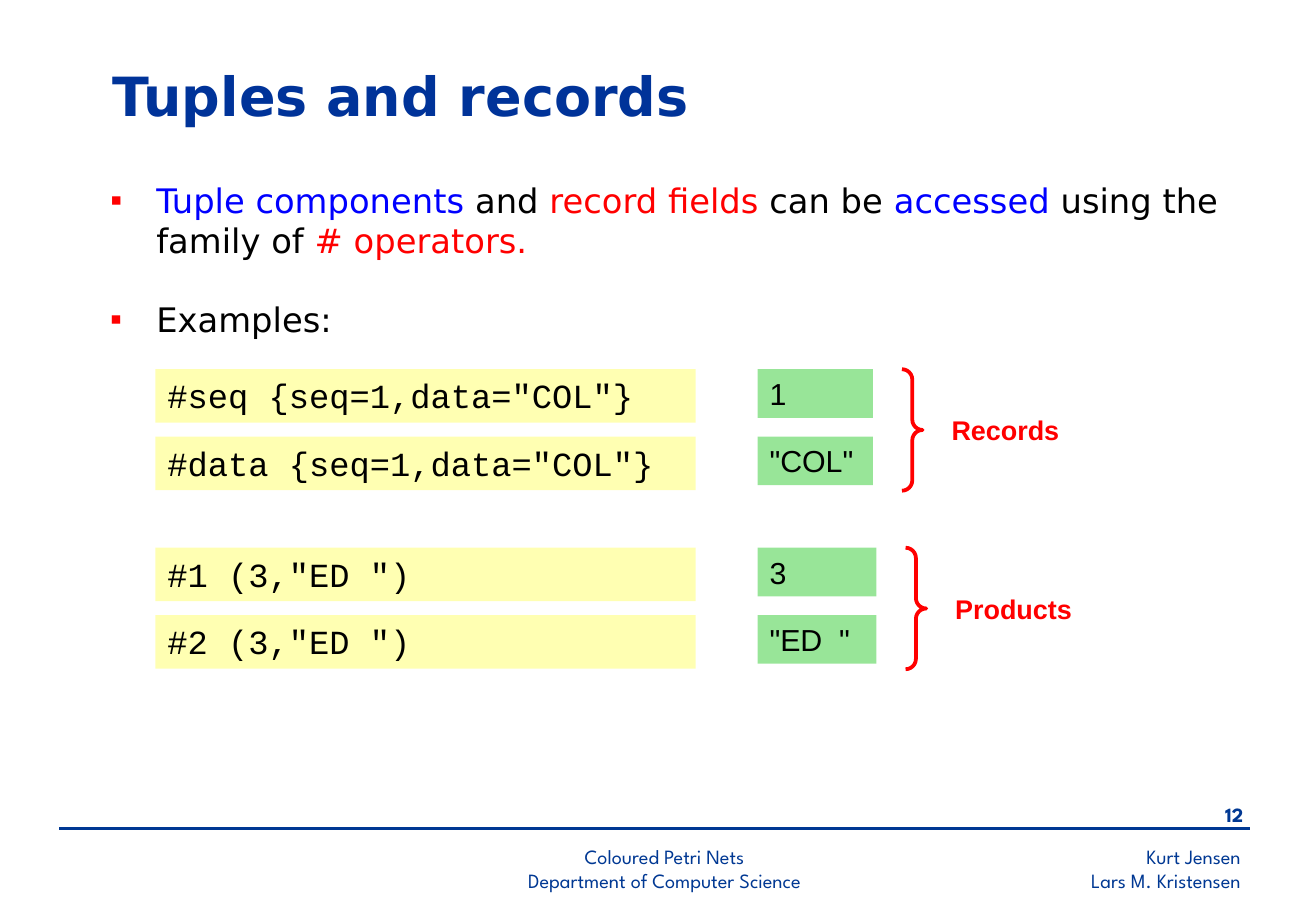
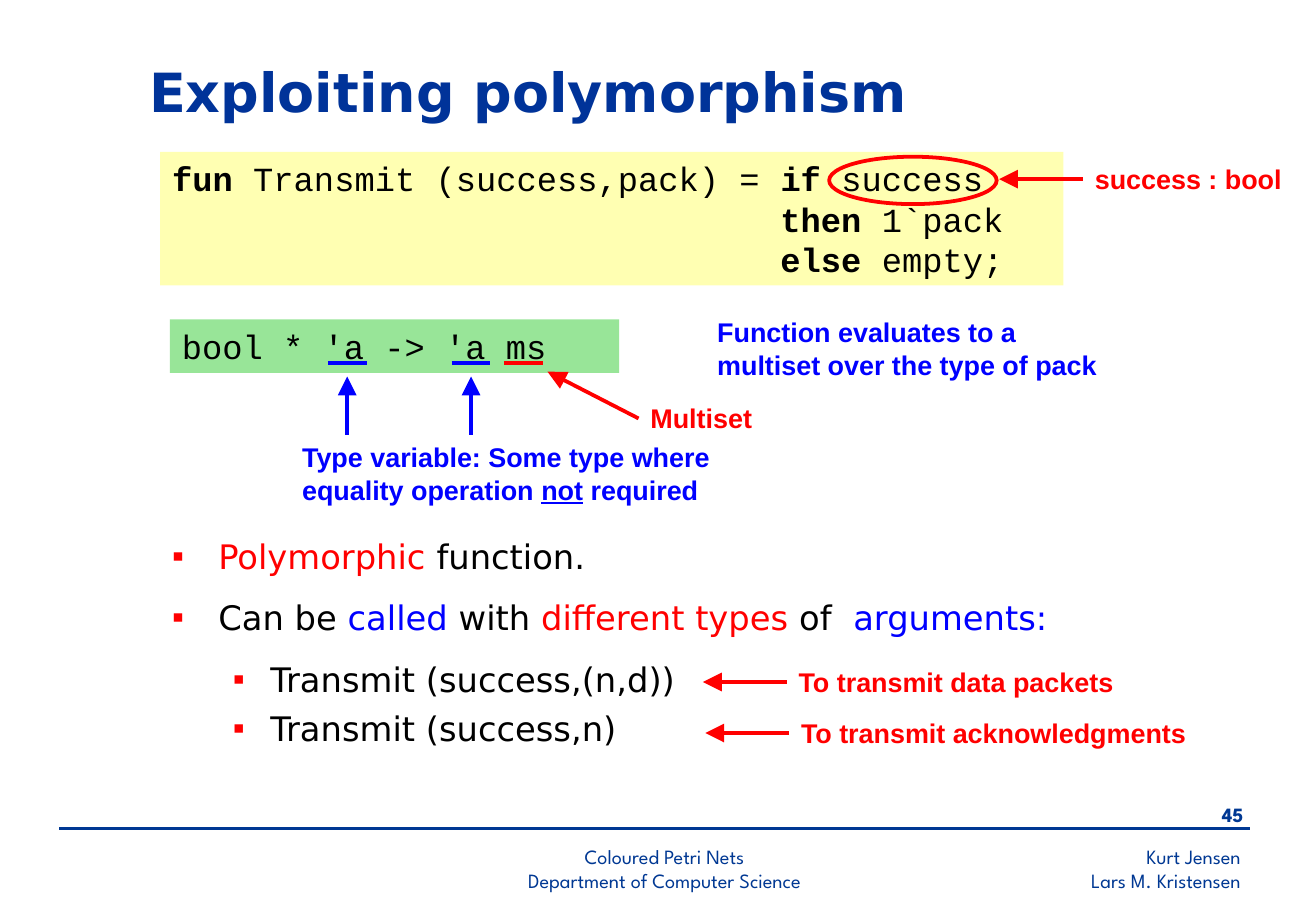
from lxml.etree import SubElement
from pptx import Presentation
from pptx.dml.color import RGBColor
from pptx.enum.shapes import MSO_CONNECTOR, MSO_SHAPE
from pptx.enum.text import MSO_ANCHOR, PP_ALIGN
from pptx.oxml.ns import qn
from pptx.util import Inches, Pt

COLUMNS, ROWS = 108.4, 75
STEP = Inches(0.1)
COLORS = {
    "paper": "FFFFFF", "footer": "003893", "title": "003399", "ink": "000000",
    "red": "FF0000", "blue": "0000FF", "yellow": "FFFF66", "green": "33CC33",
}
STYLES = {
    "title": {"font": "DejaVu Sans", "size": 32, "color": "title", "bold": True},
    "body": {"font": "DejaVu Sans", "size": 20, "color": "ink"},
    "code": {"font": "Courier New", "size": 20, "color": "ink"},
    "result": {"font": "Arial", "size": 18, "color": "ink"},
    "note": {"font": "Arial", "size": 16, "color": "red", "bold": True},
    "footer": {"font": "League Spartan", "size": 12, "color": "footer"},
}
BULLET_LEVELS = [(0.38, -0.38), (0.81, -0.31)]


def rgb(name):
    """Return the palette colour of that name."""
    return RGBColor.from_string(COLORS[name])


def grid(*steps):
    """Turn grid steps into lengths."""
    return [round(step * STEP) for step in steps]


def inside(box, left, top, width, height):
    """Return a box placed relative to the corner of another."""
    return box[0] + left, box[1] + top, width, height


def red(text):
    """Mark a piece of text red."""
    return text, {"color": "red"}


def blue(text):
    """Mark a piece of text blue."""
    return text, {"color": "blue"}


def keyword(text):
    """Mark a piece of text as a bold keyword."""
    return text, {"bold": True}


def add_piece(paragraph, text, font, size, color, bold=False, underline=False):
    """Add one formatted piece of text, breaking it at line ends."""
    for number, line in enumerate(text.split("\n")):
        if number:
            paragraph.add_line_break()
        run = paragraph.add_run()
        run.text = line
        run.font.name = font
        run.font.size = Pt(size)
        run.font.bold = bold
        run.font.underline = underline
        run.font.color.rgb = rgb(color)


def write(frame, paragraphs, style, align=PP_ALIGN.LEFT, anchor=MSO_ANCHOR.TOP):
    """Fill a frame with paragraphs, each a list of plain or marked pieces."""
    frame.word_wrap = True
    frame.vertical_anchor = anchor
    for number, pieces in enumerate(paragraphs):
        paragraph = frame.add_paragraph() if number else frame.paragraphs[0]
        paragraph.alignment = align
        for piece in pieces:
            text, changes = (piece, {}) if isinstance(piece, str) else piece
            add_piece(paragraph, text, **{**STYLES[style], **changes})


def add_text(slide, box, paragraphs, style, **placing):
    """Add a text box in one of the shared styles."""
    text = slide.shapes.add_textbox(*grid(*box))
    write(text.text_frame, paragraphs, style, **placing)
    return text


def add_panel(slide, box, paragraphs, style, color):
    """Add a half-transparent panel of text."""
    panel = slide.shapes.add_shape(MSO_SHAPE.RECTANGLE, *grid(*box))
    panel.shadow.inherit = False
    panel.line.fill.background()
    panel.fill.solid()
    panel.fill.fore_color.rgb = rgb(color)
    tint = panel.fill._xPr.find(qn("a:solidFill"))[0]
    SubElement(tint, qn("a:alpha"), val="50000")
    write(panel.text_frame, paragraphs, style)


def add_outline(slide, preset, box):
    """Add an unfilled red shape."""
    outline = slide.shapes.add_shape(preset, *grid(*box))
    outline.shadow.inherit = False
    outline.fill.background()
    outline.line.color.rgb = rgb("red")
    outline.line.width = Pt(2.25)
    return outline


def add_line(slide, start, end, color, width=2.25, arrow=False):
    """Add a straight line, with an arrowhead at its end if asked."""
    line = slide.shapes.add_connector(MSO_CONNECTOR.STRAIGHT, *grid(*start, *end))
    line.line.color.rgb = rgb(color)
    line.line.width = Pt(width)
    if arrow:
        SubElement(line.line._get_or_add_ln(), qn("a:tailEnd"),
                   type="triangle", w="lg", len="lg")
    SubElement(line._element.spPr, qn("a:effectLst"))
    return line


def add_bullets(slide, box, items):
    """Add a bulleted list of (level, space before, pieces)."""
    bullets = add_text(slide, box, [pieces for _, _, pieces in items], "body")
    for paragraph, (level, space, _) in zip(bullets.text_frame.paragraphs, items):
        margin, indent = BULLET_LEVELS[level]
        paragraph.level = level
        properties = paragraph._p.get_or_add_pPr()
        properties.set("marL", str(Inches(margin)))
        properties.set("indent", str(Inches(indent)))
        tint = SubElement(properties, qn("a:buClr"))
        SubElement(tint, qn("a:srgbClr"), val=COLORS["red"])
        SubElement(properties, qn("a:buFont"), typeface="Arial")
        SubElement(properties, qn("a:buChar"), char="▪")
        paragraph.space_before = Pt(space)


def add_footer(slide, box, page):
    """Add the rule, page number, course and authors."""
    left, top, width, _ = box
    add_text(slide, inside(box, width - 6.7, -2.6, 7.1, 3.3),
             [[keyword(page)]], "footer", align=PP_ALIGN.RIGHT)
    add_line(slide, (left, top), (left + width, top), "footer", 1.5)
    add_text(slide, inside(box, 29.2, 0.8, 41.3, 4.7),
             [["Coloured Petri Nets"], ["Department of Computer Science"]],
             "footer", align=PP_ALIGN.CENTER)
    add_text(slide, inside(box, width - 33.5, 0.8, 33.7, 5),
             [["Kurt Jensen"], ["Lars M. Kristensen"]],
             "footer", align=PP_ALIGN.RIGHT)


def add_page(deck, title, title_box, page):
    """Start a slide with its title and footer."""
    slide = deck.slides.add_slide(deck.slide_layouts[6])
    slide.background.fill.solid()
    slide.background.fill.fore_color.rgb = rgb("paper")
    add_footer(slide, (4.9, 68.2, 98.1, ROWS - 68.2), page)
    add_text(slide, title_box, [[title]], "title", anchor=MSO_ANCHOR.MIDDLE)
    return slide


def add_examples(slide, box, result_width, examples, name):
    """Add rows of code and result, braced together under a name."""
    _, _, code_width, height = box
    result_left = code_width + 5.1
    brace_left = result_left + result_width + 2.4
    for row, (code, result) in enumerate(examples):
        top = row * 5.55
        add_panel(slide, inside(box, 0, top, code_width, 4.4),
                  [[code]], "code", "yellow")
        add_panel(slide, inside(box, result_left, top, result_width, 4),
                  [[result]], "result", "green")
    brace = add_outline(slide, MSO_SHAPE.RIGHT_BRACE,
                        inside(box, brace_left, 0, 1.7, height))
    brace.adjustments[0] = 0.5
    add_text(slide, inside(box, brace_left + 3.1, 0, 13.8, height),
             [[name]], "note", anchor=MSO_ANCHOR.MIDDLE)


def add_pointing_note(slide, box, text, reach):
    """Add a red note whose arrow leaves its left side by the given reach."""
    note = add_text(slide, box, [[text]], "note")
    left, middle = box[0], box[1] + box[3] / 2
    arrow = add_line(slide, (left, middle), (left + reach[0], middle + reach[1]),
                     "red", arrow=True)
    arrow.begin_connect(note, 1)


def add_function_code(slide, box):
    """Add the function with its first argument circled."""
    indent = " " * 30
    add_panel(slide, box, [
        [keyword("fun"), " Transmit (success,pack) = ", keyword("if"), " success"],
        [indent, keyword("then"), " 1`pack"],
        [indent, keyword("else"), " empty;"],
    ], "code", "yellow")
    add_outline(slide, MSO_SHAPE.OVAL, inside(box, 55.1, 0.4, 13.8, 3.9))
    add_pointing_note(slide, inside(box, 76, 0.4, 18.5, 3.7),
                      "success : bool", (-6.9, 0))


def add_function_type(slide, box):
    """Add the type of the function with its parts explained."""
    left, top, _, _ = box
    add_panel(slide, box, [["bool * 'a -> 'a ms"]], "code", "green")
    for start, color in ((13, "blue"), (23.2, "blue"), (27.5, "red")):
        add_line(slide, (left + start, top + 3.6),
                 (left + start + 3.2, top + 3.6), color)
        if color == "blue":
            middle = left + start + 1.6
            add_line(slide, (middle, top + 9.5), (middle, top + 4.7),
                     color, arrow=True)
    add_text(slide, inside(box, 9.9, 9.5, 40.2, 6.4), [[
        blue("Type variable: Some type where\nequality operation "),
        ("not", {"color": "blue", "underline": True}),
        blue(" required"),
    ]], "note")
    add_text(slide, inside(box, 44.1, -0.8, 36, 6.4),
             [[blue("Function evaluates to a\nmultiset over the type of pack")]],
             "note")
    add_pointing_note(slide, inside(box, 38.6, 6.3, 11.4, 3.7),
                      "Multiset", (-7.5, -3.85))


def add_calls(slide, box):
    """Add the list of calls with a note on each kind of argument."""
    add_bullets(slide, box, [
        (0, 0, [red("Polymorphic"), " function."]),
        (0, 12.5, ["Can be ", blue("called"), " with ", red("different types"),
                   " of  ", blue("arguments:")]),
        (1, 12.5, ["Transmit (success,(n,d))"]),
        (1, 5, ["Transmit (success,n)"]),
    ])
    for row, purpose in enumerate(("data packets", "acknowledgments")):
        add_pointing_note(slide, inside(box, 51.6 + row * 0.2, 10.7 + row * 4.2,
                                        35.3, 3.7),
                          f"To transmit {purpose}", (-6.9, 0))


def add_records_slide(deck):
    """Build the slide on tuples and records."""
    slide = add_page(deck, "Tuples and records", (8.3, 4.4, 87.6, 6.9), "12")
    add_bullets(slide, (8.1, 14.3, 99.2, 8.3), [(0, 0, [
        blue("Tuple components"), " and ", red("record fields"), " can be ",
        blue("accessed"), " using the family of ", red("# operators."),
    ])])
    add_bullets(slide, (8.1, 24.1, 24, 5.1), [(0, 0, ["Examples:"])])
    add_examples(slide, (12.8, 30.4, 44.5, 10), 9.5, [
        ('#seq {seq=1,data="COL"}', "1"),
        ('#data {seq=1,data="COL"}', '"COL"'),
    ], "Records")
    add_examples(slide, (12.8, 45.1, 44.5, 10), 9.8, [
        ('#1 (3,"ED ")', "3"),
        ('#2 (3,"ED ")', '"ED  "'),
    ], "Products")


def add_polymorphism_slide(deck):
    """Build the slide on polymorphism."""
    slide = add_page(deck, "Exploiting polymorphism", (11.3, 4, 84.3, 6.9), "45")
    add_function_code(slide, (13.2, 12.5, 74.4, 11))
    add_function_type(slide, (14, 26.3, 37, 4.4))
    add_calls(slide, (13.2, 43.6, 75.6, 18.9))


def main():
    """Build and save the deck."""
    deck = Presentation()
    deck.slide_width, deck.slide_height = grid(COLUMNS, ROWS)
    add_records_slide(deck)
    add_polymorphism_slide(deck)
    deck.save("out.pptx")


if __name__ == "__main__":
    main()
